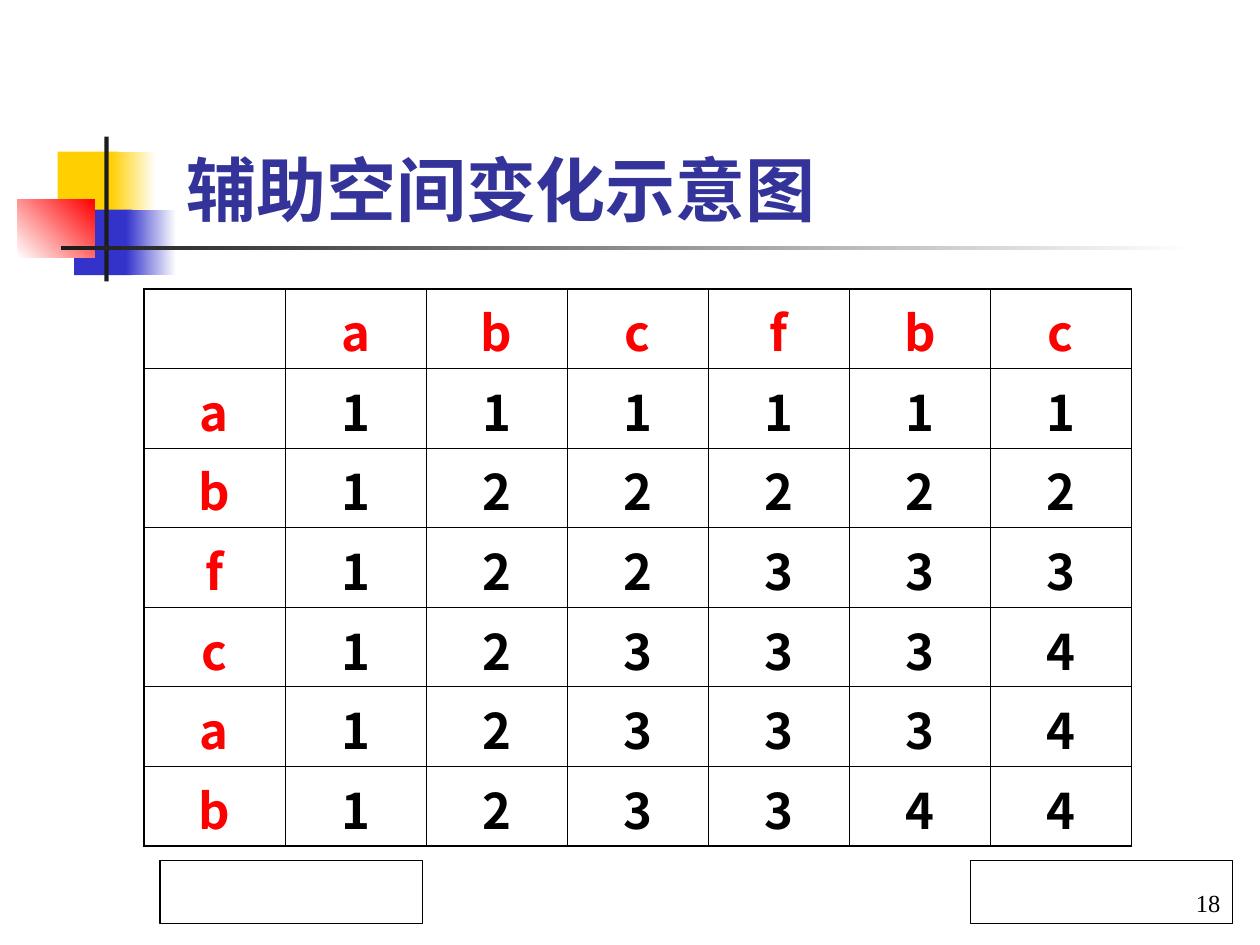
from lxml.etree import SubElement as Sub
from pptx import Presentation
from pptx.dml.color import RGBColor
from pptx.enum.shapes import MSO_SHAPE as Form
from pptx.enum.text import MSO_ANCHOR as Anchor, PP_ALIGN as Align
from pptx.oxml.ns import qn
from pptx.util import Pt

BLACK, WHITE, RED = "000000", "FFFFFF", "FF0000"
GOLD, BLUE, DARK = "FFCF01", "3333CC", "1C1C1C"
HEAD = "abcfbc"
ROWS = {
    "a": ["111111", "123334"],
    "b": ["122222", "123344"],
    "f": ["122333"],
    "c": ["123334"],
}
ORDER = "abfcab"


def tint(code):
    """Turn a hex string into a colour."""
    return RGBColor.from_string(code)


def write(frame, text, align, face, size, code, bold=False):
    """Put one formatted line of text into a frame."""
    para = frame.paragraphs[0]
    para.alignment = align
    run = para.add_run()
    run.text = text
    form = {"name": face, "size": Pt(size), "bold": bold}
    for key, val in form.items():
        setattr(run.font, key, val)
    run.font.color.rgb = tint(code)
    Sub(run.font._element, qn("a:ea")).set("typeface", face)


def block(slide, box, fill, end=None, angle=0, line=None):
    """Draw a rectangle with a plain fill or a fade to a second colour."""
    shape = slide.shapes.add_shape(Form.RECTANGLE, *map(Pt, box))
    shape.shadow.inherit = False
    if end:
        shape.fill.gradient()
        shape.fill.gradient_angle = angle
        for stop, code, pos in zip(shape.fill.gradient_stops, (fill, end), (0, 1)):
            stop.color.rgb = tint(code)
            stop.position = pos
    else:
        shape.fill.solid()
        shape.fill.fore_color.rgb = tint(fill)
    if line:
        shape.line.color.rgb = tint(line)
        shape.line.width = Pt(0.75)
    else:
        shape.line.fill.background()
    return shape


def motif(slide, left, top):
    """Draw the coloured squares and the crossed bars."""
    parts = [
        ((23, 8.6, 34.6, 37.4), GOLD),
        ((53.3, 8.6, 25.9, 37.4), GOLD, WHITE),
        ((32.4, 41.8, 33.1, 37.4), BLUE),
        ((61.9, 41.8, 28.8, 37.4), BLUE, WHITE),
        ((0, 36, 43.9, 33.1), WHITE, RED, 45),
        ((49.7, 0, 2.4, 82.8), DARK),
        ((24.8, 62.3, 648, 2.4), DARK, WHITE),
    ]
    for (x, y, wide, high), *fill in parts:
        block(slide, (left + x, top + y, wide, high), *fill)


def title(slide, box):
    """Write the slide title."""
    frame = slide.shapes.add_textbox(*map(Pt, box)).text_frame
    frame.word_wrap = True
    write(frame, "辅助空间变化示意图", Align.LEFT, "Karla", 40, "333399", True)


def edge(cell, outer):
    """Rule the four sides of a cell, heavier where it meets the frame."""
    props = cell._tc.get_or_add_tcPr()
    for side, thick in zip("LRTB", outer):
        line = Sub(props, qn(f"a:ln{side}"), w=str(Pt(1.08 if thick else 0.45)))
        fill = Sub(line, qn("a:solidFill"))
        Sub(fill, qn("a:srgbClr"), val=BLACK)


def grid(slide, box):
    """Build the table of lengths with its red row and column heads."""
    seen = {key: iter(vals) for key, vals in ROWS.items()}
    lines = [" " + HEAD] + [key + next(seen[key]) for key in ORDER]
    size = len(lines)
    table = slide.shapes.add_table(size, size, *map(Pt, box)).table
    table.first_row = table.horz_banding = False
    for col in table.columns:
        col.width = Pt(box[2] / size)
    for row in table.rows:
        row.height = Pt(box[3] / size)
    last = size - 1
    for r, line in enumerate(lines):
        for c, mark in enumerate(line):
            cell = table.cell(r, c)
            cell.margin_bottom = 0
            edge(cell, (c == 0, c == last, r == 0, r == last))
            cell.fill.background()
            if mark != " ":
                code = BLACK if r and c else RED
                write(cell.text_frame, mark, Align.CENTER,
                      "Noto Sans CJK KR", 28, code, True)


def footer(slide, left, top, wide, high):
    """Draw the date box and the page number box."""
    size = (150, high)
    block(slide, (left, top, *size), WHITE, line=BLACK)
    page = block(slide, (left + wide - 150, top, *size), WHITE, line=BLACK)
    page.text_frame.vertical_anchor = Anchor.BOTTOM
    write(page.text_frame, "18", Align.RIGHT, "Times New Roman", 14, BLACK)


def main():
    """Build and save the slide."""
    deck = Presentation()
    deck.slide_width, deck.slide_height = Pt(720), Pt(540)
    slide = deck.slides.add_slide(deck.slide_layouts[6])
    motif(slide, 10, 78)
    grid(slide, (82.2, 165, 564.5, 318.5))
    title(slide, (99.4, 80, 448, 55.4))
    footer(slide, 91.5, 491.8, 613, 36)
    deck.save("out.pptx")


if __name__ == "__main__":
    main()
